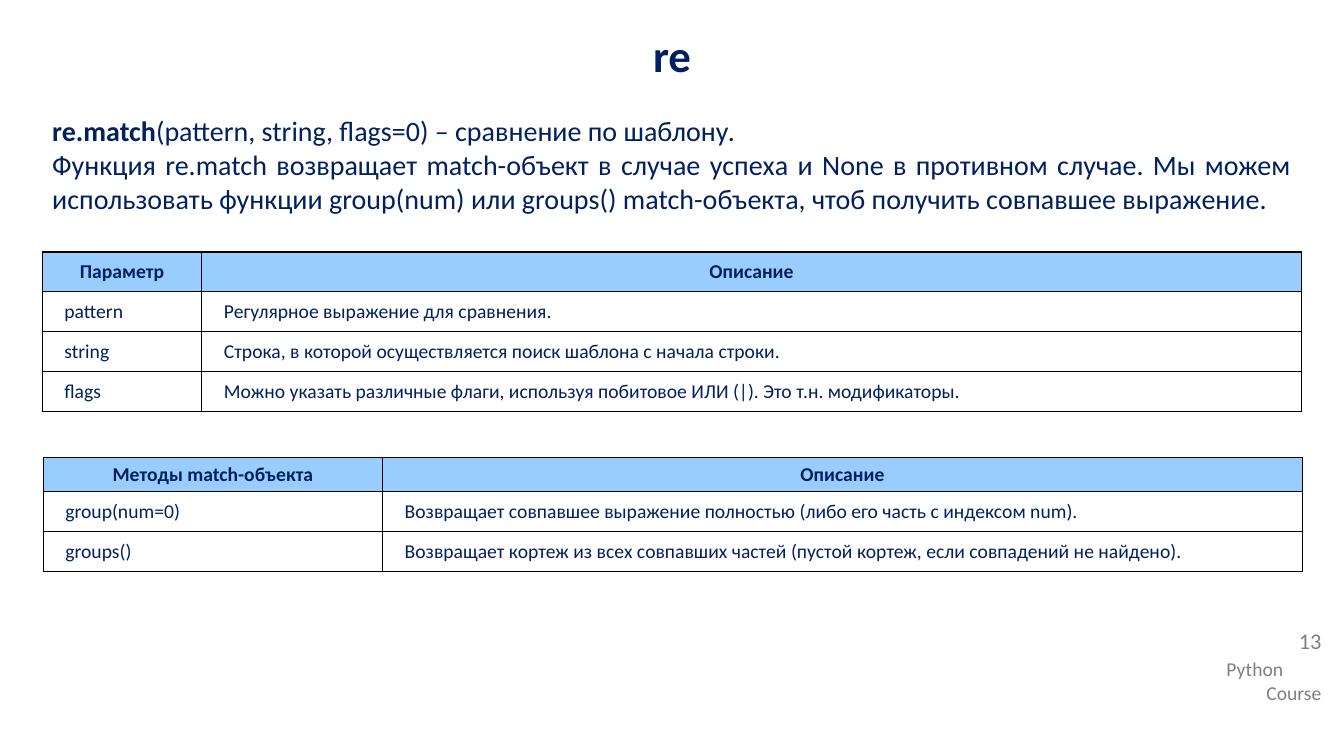
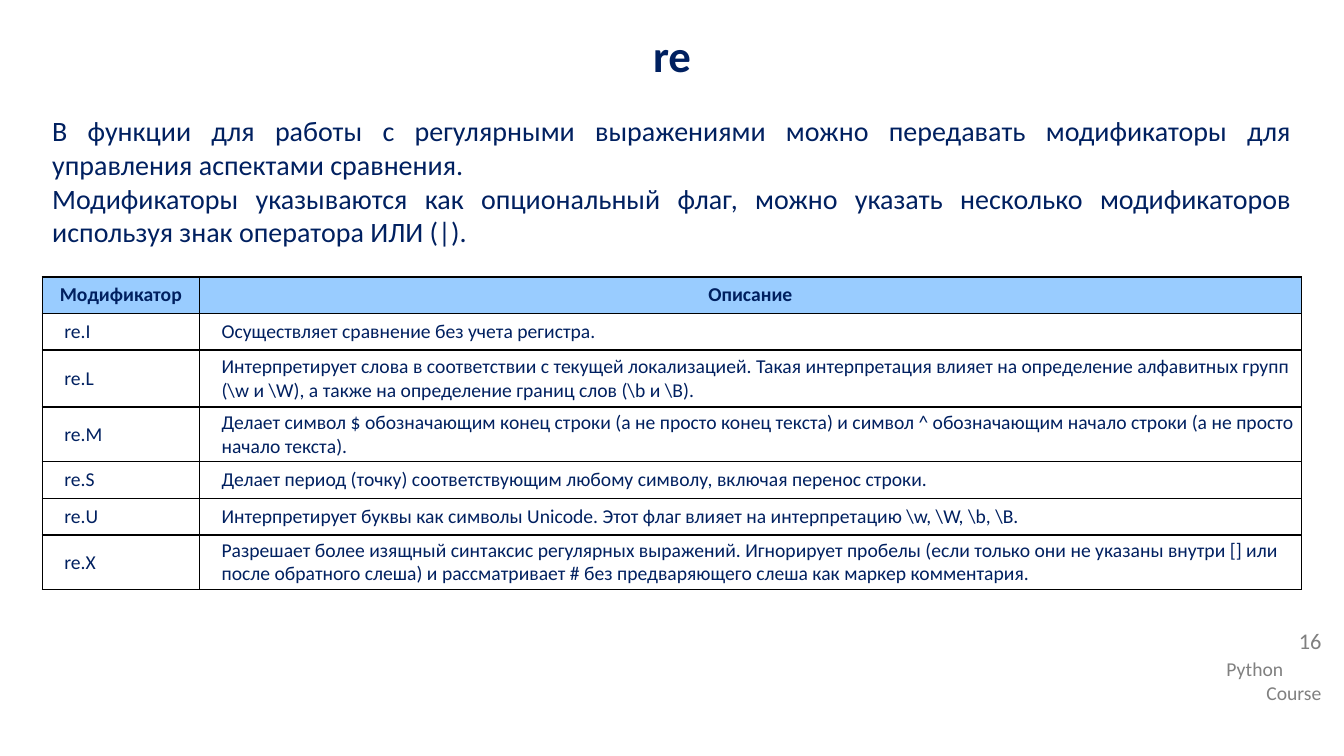
from lxml import etree
from pptx import Presentation
from pptx.dml.color import RGBColor
from pptx.enum.text import MSO_ANCHOR, PP_ALIGN
from pptx.oxml.ns import qn
from pptx.util import Pt

NAVY = RGBColor(0x00, 0x20, 0x60)
GREY = RGBColor(0x80, 0x80, 0x80)
SKY = RGBColor(0x99, 0xCC, 0xFF)
LINE = "000000"
FONT = "Calibri"
LEFT, CENTER, RIGHT, JUSTIFY = (
    PP_ALIGN.LEFT, PP_ALIGN.CENTER, PP_ALIGN.RIGHT, PP_ALIGN.JUSTIFY)
MIDDLE = MSO_ANCHOR.MIDDLE

PAGE_W, PAGE_H = 960, 540
EDGE, WIDTH = 30.2, 899.3
NOTE_X, NOTE_W = 869, 82
HEAD = "Описание"

MATCH_TEXT = [
    ("re.match", "(pattern, string, flags=0) – сравнение по шаблону."),
    ("", "Функция re.match возвращает match-объект в случае успеха и None "
         "в противном случае. Мы можем использовать функции group(num) или "
         "groups() match-объекта, чтоб получить совпавшее выражение."),
]
PARAMS = [
    ("Параметр", HEAD),
    ("pattern", "Регулярное выражение для сравнения."),
    ("string", "Строка, в которой осуществляется поиск шаблона "
               "с начала строки."),
    ("flags", "Можно указать различные флаги, используя побитовое ИЛИ (|). "
              "Это т.н. модификаторы."),
]
METHODS = [
    ("Методы match-объекта", HEAD),
    ("group(num=0)", "Возвращает совпавшее выражение полностью "
                     "(либо его часть с индексом num)."),
    ("groups()", "Возвращает кортеж из всех совпавших частей "
                 "(пустой кортеж, если совпадений не найдено)."),
]
FLAG_TEXT = [
    ("", "В функции для работы с регулярными выражениями можно передавать "
         "модификаторы для управления аспектами сравнения."),
    ("", "Модификаторы указываются как опциональный флаг, можно указать "
         "несколько модификаторов используя знак оператора ИЛИ (|)."),
]
FLAGS = [
    ("Модификатор", HEAD),
    ("re.I", "Осуществляет сравнение без учета регистра."),
    ("re.L", "Интерпретирует слова в соответствии с текущей локализацией. "
             "Такая интерпретация влияет на определение алфавитных групп "
             r"(\w и \W), а также на определение границ слов (\b и \B)."),
    ("re.M", "Делает символ $ обозначающим конец строки (а не просто конец "
             "текста) и символ ^ обозначающим начало строки (а не просто "
             "начало текста)."),
    ("re.S", "Делает период (точку) соответствующим любому символу, "
             "включая перенос строки."),
    ("re.U", "Интерпретирует буквы как символы Unicode. Этот флаг влияет "
             r"на интерпретацию \w, \W, \b, \B."),
    ("re.X", "Разрешает более изящный синтаксис регулярных выражений. "
             "Игнорирует пробелы (если только они не указаны внутри [] или "
             "после обратного слеша) и рассматривает # без предваряющего "
             "слеша как маркер комментария."),
]


def style(run, size, color, bold=False):
    font = run.font
    font.name, font.size, font.bold = FONT, Pt(size), bold
    font.color.rgb = color


def add_text(slide, box, paras, size, color):
    """Place (align, bold part, plain part) paragraphs in a text box."""
    frame = slide.shapes.add_textbox(*map(Pt, box)).text_frame
    frame.word_wrap = True
    for i, (align, strong, plain) in enumerate(paras):
        para = frame.add_paragraph() if i else frame.paragraphs[0]
        para.alignment = align
        for text, bold in ((strong, True), (plain, False)):
            if text:
                run = para.add_run()
                run.text = text
                style(run, size, color, bold)
    return frame


def add_page(deck, number):
    """Add a slide with the shared title and footer."""
    slide = deck.slides.add_slide(deck.slide_layouts[6])
    add_text(slide, (NOTE_X, 466, NOTE_W, 41),
             [(LEFT, "", "Python"), (RIGHT, "", "Course")], 14, GREY)
    page = add_text(slide, (NOTE_X, 446.4, NOTE_W, 32),
                    [(RIGHT, "", str(number))], 16, GREY)
    page.paragraphs[0].line_spacing = 0.9
    add_text(slide, (0, 16.6, PAGE_W, 55), [(CENTER, "re", "")], 32, NAVY)
    return slide


def add_body(slide, paras):
    add_text(slide, (EDGE, 77.8, WIDTH, 448.6),
             [(JUSTIFY, *para) for para in paras], 20, NAVY)


def add_edges(cell):
    props = cell._tc.get_or_add_tcPr()
    for side in ("a:lnL", "a:lnR", "a:lnT", "a:lnB"):
        edge = etree.SubElement(props, qn(side), w=str(Pt(1)))
        fill = etree.SubElement(edge, qn("a:solidFill"))
        etree.SubElement(fill, qn("a:srgbClr"), val=LINE)


def fill_cell(cell, text, head):
    add_edges(cell)
    cell.vertical_anchor = MIDDLE
    cell.text_frame.text = text
    para = cell.text_frame.paragraphs[0]
    style(para.runs[0], 14, NAVY, head)
    if head:
        para.alignment = CENTER
        cell.fill.solid()
        cell.fill.fore_color.rgb = SKY
    else:
        para.alignment = LEFT
        cell.fill.background()
        cell.margin_left, cell.margin_right = Pt(15.8), Pt(1.4)
        cell.margin_top = cell.margin_bottom = Pt(0.7)


def add_grid(slide, left, top, first, heights, rows):
    """Draw a two-column table; first is the width of its first column."""
    table = slide.shapes.add_table(
        len(rows), 2, Pt(left), Pt(top), Pt(WIDTH), Pt(sum(heights))).table
    table.first_row = table.horz_banding = False
    for col, width in zip(table.columns, (first, WIDTH - first)):
        col.width = Pt(width)
    for r, (height, row) in enumerate(zip(heights, rows)):
        table.rows[r].height = Pt(height)
        for c, text in enumerate(row):
            fill_cell(table.cell(r, c), text, r == 0)


def main():
    deck = Presentation()
    deck.slide_width, deck.slide_height = Pt(PAGE_W), Pt(PAGE_H)

    slide = add_page(deck, 13)
    add_body(slide, MATCH_TEXT)
    add_grid(slide, EDGE, 180, 114, [28.5] * 4, PARAMS)
    add_grid(slide, EDGE + 0.7, 327, 242.4, [24.3, 28.5, 28.5], METHODS)

    slide = add_page(deck, 16)
    add_body(slide, FLAG_TEXT)
    low, high = 26.1, 39.2
    add_grid(slide, EDGE, 197.8, 112.3,
             [low, low, 40.8, high, low, low, high], FLAGS)

    deck.save("out.pptx")


if __name__ == "__main__":
    main()
